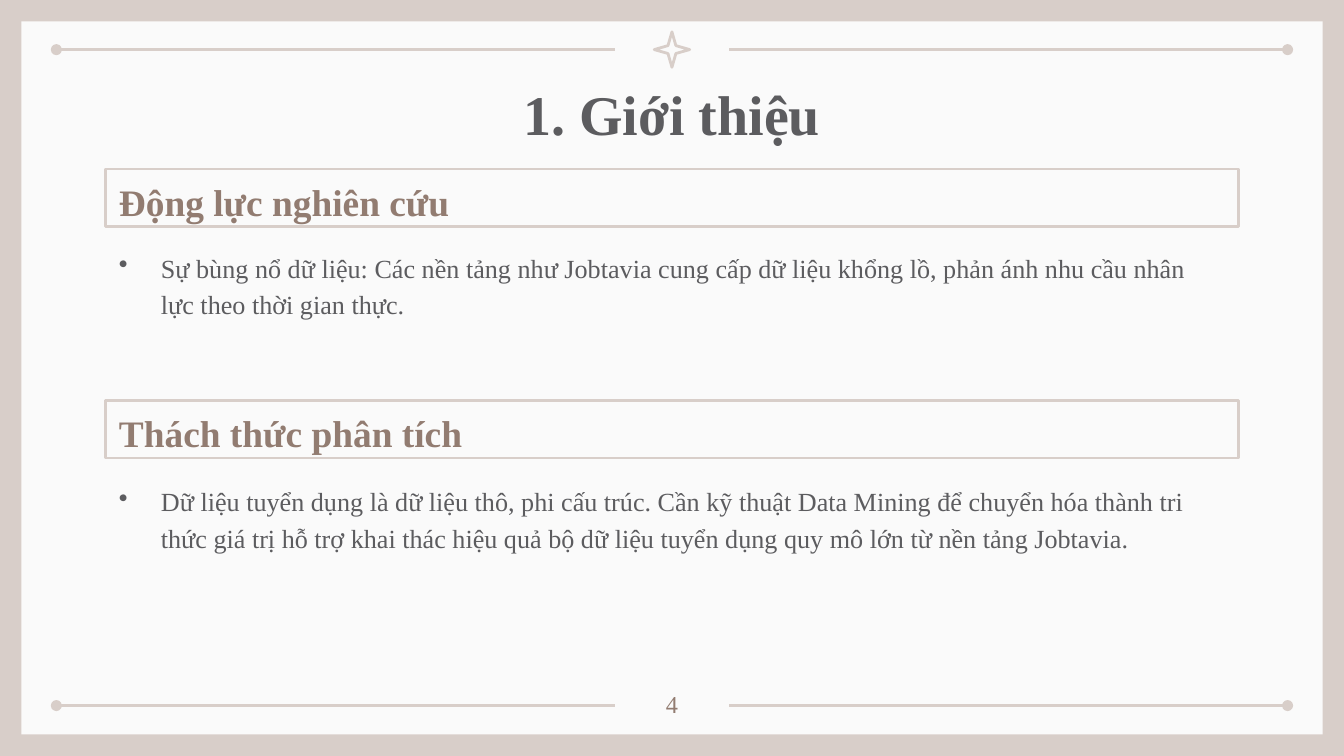
import pptx
import pptx.util
import pptx.dml.color
import pptx.enum.shapes
import pptx.enum.text
import pptx.oxml
import pptx.oxml.ns

Pt = pptx.util.Pt
RGB = pptx.dml.color.RGBColor.from_string
Kind = pptx.enum.shapes.MSO_SHAPE
Align = pptx.enum.text.PP_ALIGN
Anchor = pptx.enum.text.MSO_ANCHOR

TITLE = "1. Giới thiệu"
NUMBER = "4"
PARTS = [
    {"head": "Động lực nghiên cứu", "top": 90.6, "gap": 34.7, "high": 84.2,
     "body": "Sự bùng nổ dữ liệu: Các nền tảng như Jobtavia cung cấp dữ liệu "
             "khổng lồ, phản ánh nhu cầu nhân lực theo thời gian thực."},
    {"head": "Thách thức phân tích", "top": 214.4, "gap": 36.2, "high": 105,
     "body": "Dữ liệu tuyển dụng là dữ liệu thô, phi cấu trúc. Cần kỹ thuật "
             "Data Mining để chuyển hóa thành tri thức giá trị hỗ trợ khai "
             "thác hiệu quả bộ dữ liệu tuyển dụng quy mô lớn từ nền tảng Jobtavia."},
]
COLORS = {"edge": "D8CEC9", "paper": "FAFAFA", "ink": "5C5C5F", "accent": "927C71"}
FONT = "Times New Roman"
WIDE, HIGH = 720, 405
MARGIN = 11.5
LEFT = 56.6
SPAN = WIDE - 2 * LEFT
RULES = [26.6, 378]
ENDS = [(30.2, 329.6), (WIDE - 30.2, WIDE - 329.6)]
STAR = 19


def write(shape, text, size=14, color="ink", bold=False, align=Align.LEFT,
          anchor=Anchor.TOP, space=None, bullet=False):
    frame = shape.text_frame
    frame.word_wrap = True
    frame.auto_size = pptx.enum.text.MSO_AUTO_SIZE.NONE
    frame.vertical_anchor = anchor
    frame.margin_left = frame.margin_right = Pt(7.2)
    frame.margin_top = frame.margin_bottom = Pt(7.2)
    frame.text = text
    para = frame.paragraphs[0]
    para.alignment = align
    if space:
        para.line_spacing = space
    if bullet:
        props = para._p.get_or_add_pPr()
        props.set("marL", str(Pt(22.5)))
        props.set("indent", str(-Pt(22.5)))
        mark = pptx.oxml.parse_xml(
            f'<a:buChar {pptx.oxml.ns.nsdecls("a")} char="•"/>')
        props.append(mark)
    font = para.runs[0].font
    font.name, font.size, font.bold = FONT, Pt(size), bold
    font.color.rgb = RGB(COLORS[color])


def stroke(item):
    item.line.color.rgb = RGB(COLORS["edge"])
    item.line.width = Pt(1.5)


def draw(shapes, kind, *box, fill=None):
    shape = shapes.add_shape(kind, *map(Pt, box))
    shape.shadow.inherit = False
    if fill:
        shape.fill.solid()
        shape.fill.fore_color.rgb = RGB(COLORS[fill])
        shape.line.fill.background()
    else:
        shape.fill.background()
        stroke(shape)
    return shape


def rule(shapes, outer, inner, y):
    line = shapes.add_connector(pptx.enum.shapes.MSO_CONNECTOR.STRAIGHT,
                                Pt(outer), Pt(y), Pt(inner), Pt(y))
    stroke(line)
    names = pptx.oxml.ns.nsdecls("a")
    line.line._ln.append(pptx.oxml.parse_xml(f'<a:headEnd {names} type="oval"/>'))
    line.element.spPr.append(pptx.oxml.parse_xml(f"<a:effectLst {names}/>"))


def main():
    deck = pptx.Presentation()
    deck.slide_width, deck.slide_height = Pt(WIDE), Pt(HIGH)
    slide = deck.slides.add_slide(deck.slide_layouts[5])
    shapes = slide.shapes
    slide.background.fill.solid()
    slide.background.fill.fore_color.rgb = RGB(COLORS["edge"])

    draw(shapes, Kind.RECTANGLE, MARGIN, MARGIN,
         WIDE - 2 * MARGIN, HIGH - 2 * MARGIN, fill="paper")
    for y in RULES:
        for outer, inner in ENDS:
            rule(shapes, outer, inner, y)
    star = draw(shapes, Kind.STAR_4_POINT, (WIDE - STAR) / 2,
                RULES[0] - STAR / 2, STAR, STAR)
    star.adjustments[0] = 0.157

    page = shapes.add_textbox(Pt(338.4), Pt(362.2), Pt(43.2), Pt(26))
    write(page, NUMBER, size=13, color="accent", align=Align.CENTER)

    title = shapes.title
    title.left, title.top = Pt(LEFT), Pt(35.3)
    title.width, title.height = Pt(SPAN), Pt(45.4)
    write(title, TITLE, size=30, bold=True, align=Align.CENTER)
    shapes.element.append(title.element)

    for part in PARTS:
        head = draw(shapes, Kind.RECTANGLE, LEFT, part["top"], SPAN, 31)
        write(head, part["head"], size=20, color="accent", bold=True,
              anchor=Anchor.MIDDLE, space=1.15)
        body = shapes.add_textbox(Pt(LEFT), Pt(part["top"] + part["gap"]),
                                  Pt(SPAN), Pt(part["high"]))
        write(body, part["body"], space=1.15, bullet=True)

    deck.save("out.pptx")


if __name__ == "__main__":
    main()
